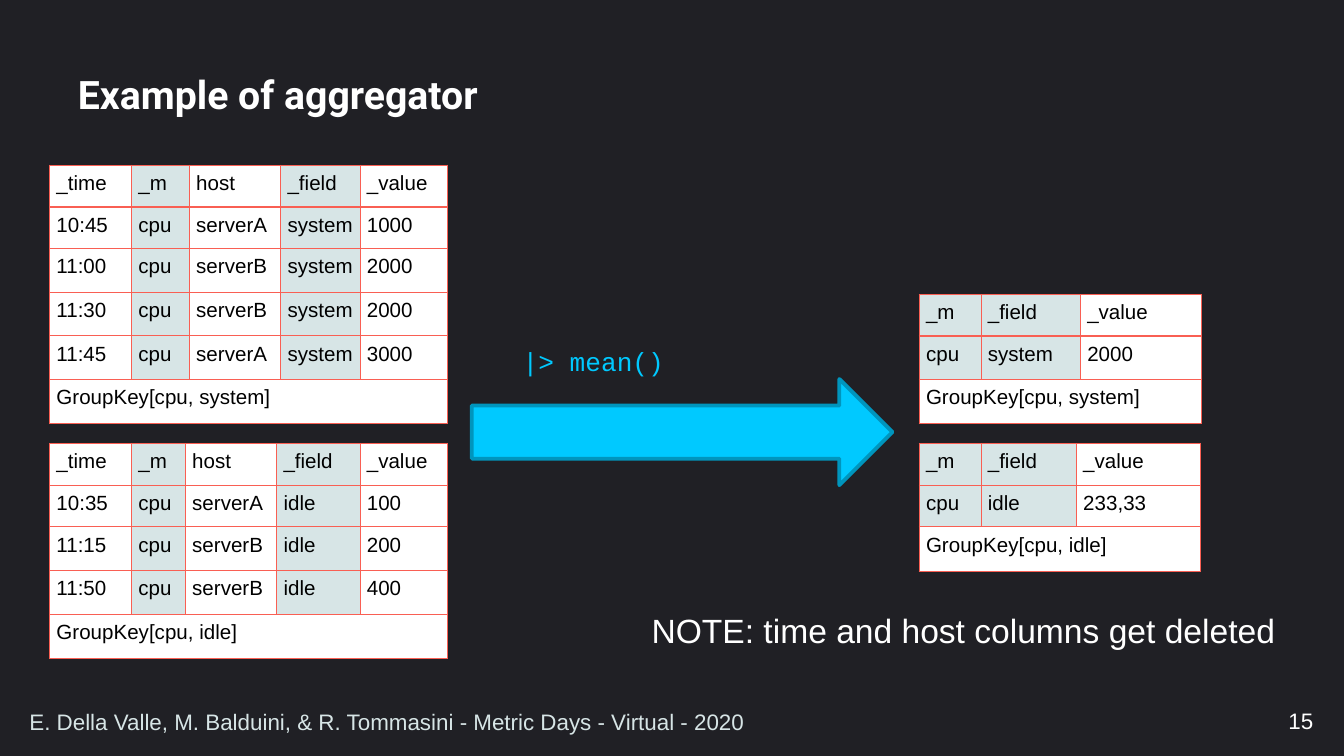
from lxml import etree
from pptx import Presentation, util as u
from pptx.dml.color import RGBColor
from pptx.enum import shapes, text
from pptx.oxml.ns import qn

# Content
TITLE = "Example of aggregator"
CALL = "|> mean()"
NOTE = "NOTE: time and host columns get deleted"
FOOTER = "E. Della Valle, M. Balduini, & R. Tommasini - Metric Days - Virtual - 2020"
NUMBER = "15"
INPUT = ["_time", "_m", "host", "_field", "_value"]
OUTPUT = ["_m", "_field", "_value"]
GROUP_KEY = {"_m", "_field"}

# Each table: left, top, height, number of short rows, column widths, rows, group key
TABLES = [
    (6.84, 2.19, 0.96, 1, [0.46, 0.74, 0.9],
     [OUTPUT, ["cpu", "system", "2000"]], "GroupKey[cpu, system]"),
    (6.84, 3.3, 0.95, 2, [0.46, 0.71, 0.92],
     [OUTPUT, ["cpu", "idle", "233,33"]], "GroupKey[cpu, idle]"),
    (0.37, 1.23, 1.92, 2, [0.61, 0.43, 0.68, 0.59, 0.65],
     [INPUT,
      ["10:45", "cpu", "serverA", "system", "1000"],
      ["11:00", "cpu", "serverB", "system", "2000"],
      ["11:30", "cpu", "serverB", "system", "2000"],
      ["11:45", "cpu", "serverA", "system", "3000"]], "GroupKey[cpu, system]"),
    (0.37, 3.3, 1.6, 2, [0.61, 0.4, 0.68, 0.62, 0.65],
     [INPUT,
      ["10:35", "cpu", "serverA", "idle", "100"],
      ["11:15", "cpu", "serverB", "idle", "200"],
      ["11:50", "cpu", "serverB", "idle", "400"]], "GroupKey[cpu, idle]"),
]
SHORT_ROW = 0.31
DARK, WHITE, BLACK = "202025", "FFFFFF", "000000"
CYAN, CYAN_EDGE, PALE, RED = "00C9FF", "0095BD", "D7E5E6", "F95F53"


def paint(fill, color):
    fill.solid()
    fill.fore_color.rgb = RGBColor.from_string(color)


def write(tf, content, size, color, font="Arial", bold=False):
    tf.text = content
    p = tf.paragraphs[0]
    f = p.runs[0].font
    f.size, f.name, f.bold = u.Pt(size), font, bold
    f.color.rgb = RGBColor.from_string(color)
    return p


def add_text(box, content, size, color, font="Arial", wrap=True,
             anchor=text.MSO_ANCHOR.TOP):
    tf = s.shapes.add_textbox(*map(u.Inches, box)).text_frame
    tf.word_wrap, tf.vertical_anchor = wrap, anchor
    return write(tf, content, size, color, font)


def add_borders(cell):
    tc_pr = cell._tc.get_or_add_tcPr()
    for side in ("lnL", "lnR", "lnT", "lnB"):
        ln = etree.SubElement(tc_pr, qn("a:" + side), w=str(u.Pt(0.75)))
        fill = etree.SubElement(ln, qn("a:solidFill"))
        etree.SubElement(fill, qn("a:srgbClr"), val=RED)


def add_group_table(left, top, height, short, widths, rows, key):
    cols = rows[0]
    grid = rows + [[key] + [""] * (len(cols) - 1)]
    tall_row = (height - short * SHORT_ROW) / (len(grid) - short)
    table = s.shapes.add_table(
        len(grid), len(cols), u.Inches(left), u.Inches(top),
        u.Inches(sum(widths)), u.Inches(height)).table
    for column, width in zip(table.columns, widths):
        column.width = u.Inches(width)
    for i, row in enumerate(grid):
        table.rows[i].height = u.Inches(SHORT_ROW if i < short else tall_row)
        for j, value in enumerate(row):
            cell = table.cell(i, j)
            cell.margin_left = cell.margin_right = u.Inches(0.05)
            cell.margin_top = cell.margin_bottom = u.Inches(0.05)
            add_borders(cell)
            shaded = i < len(rows) and cols[j] in GROUP_KEY
            paint(cell.fill, PALE if shaded else WHITE)
            if value:
                write(cell.text_frame, value, 11, BLACK)
    last = len(grid) - 1
    table.cell(last, 0).merge(table.cell(last, len(cols) - 1))


prs = Presentation()
prs.slide_width = u.Inches(10)
prs.slide_height = prs.slide_width * 9 // 16
s = prs.slides.add_slide(prs.slide_layouts[5])
paint(s.background.fill, DARK)

# Arrow with the aggregating call above it
arrow = s.shapes.add_shape(shapes.MSO_SHAPE.UP_ARROW,
                           *map(u.Inches, (4.68, 1.65, 0.79, 3.13)))
arrow.rotation = 90
arrow.shadow.inherit = False
paint(arrow.fill, CYAN)
paint(arrow.line.fill, CYAN_EDGE)
arrow.line.width = u.Pt(2)
add_text((3.79, 2.38, 2.58, 0.44), CALL, 14, CYAN, "Courier New").line_spacing = 1.6

# Title
title = s.shapes.title
title.left, title.top, title.width, title.height = map(u.Inches, (0.51, 0.4, 8.98, 0.64))
tf = title.text_frame
tf.vertical_anchor = text.MSO_ANCHOR.MIDDLE
tf.margin_left = tf.margin_right = u.Inches(0.07)
tf.margin_top = tf.margin_bottom = u.Inches(0.04)
p = write(tf, TITLE, 21, WHITE, "Roboto", True)
p.alignment, p.line_spacing = text.PP_ALIGN.LEFT, 0.9

# Note and tables
add_text((4.75, 4.49, 4.89, 0.4), NOTE, 18, WHITE, wrap=False)
for group_table in TABLES:
    add_group_table(*group_table)

# Slide number and footer
middle = text.MSO_ANCHOR.MIDDLE
p = add_text((7.62, 5.21, 2.25, 0.3), NUMBER, 12, WHITE, anchor=middle)
p.alignment = text.PP_ALIGN.RIGHT
add_text((0.12, 5.22, 7.45, 0.29), FOOTER, 12, PALE, anchor=middle)

prs.save("out.pptx")
